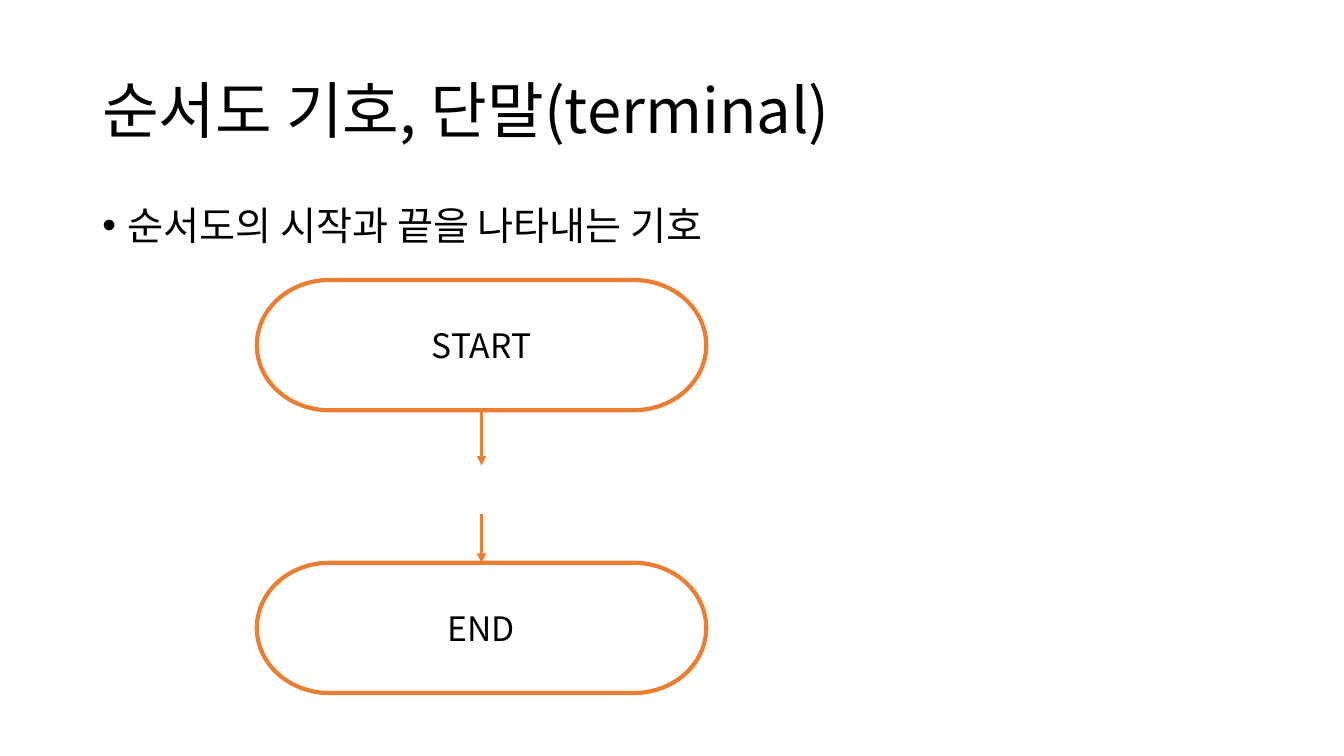
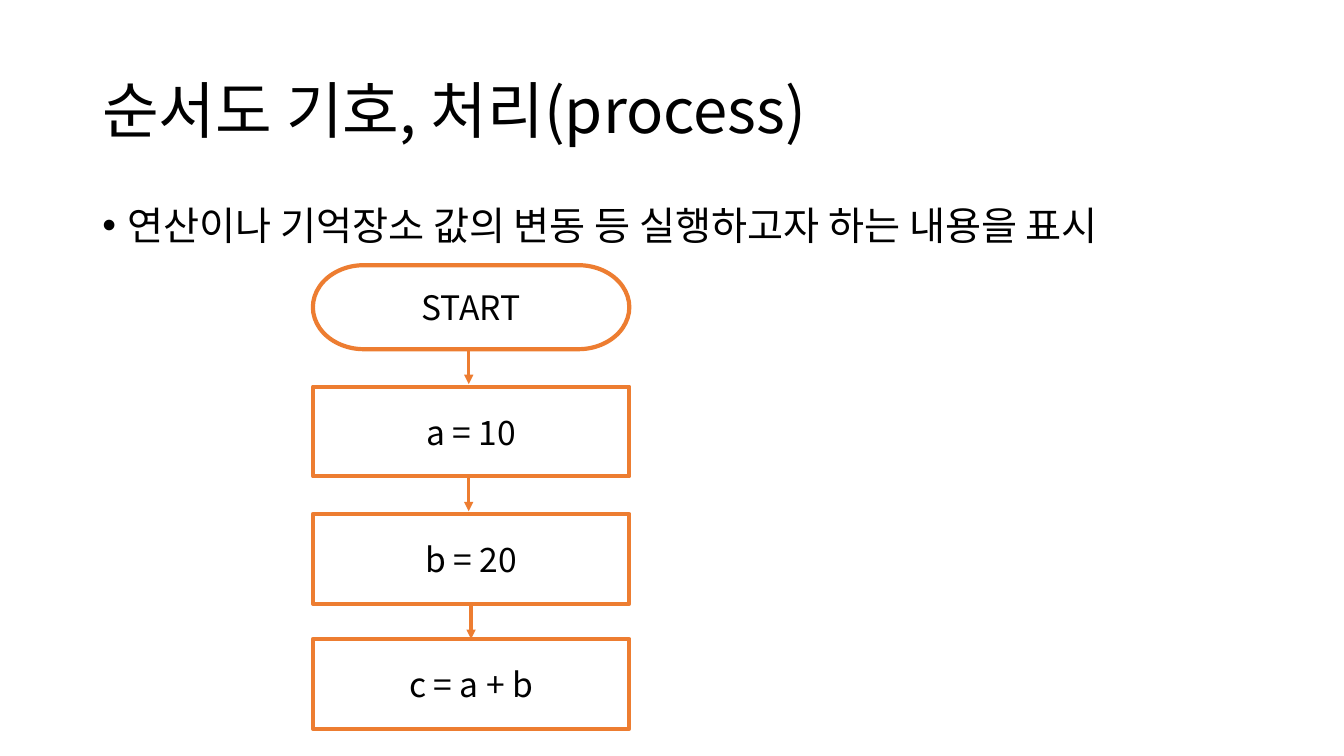
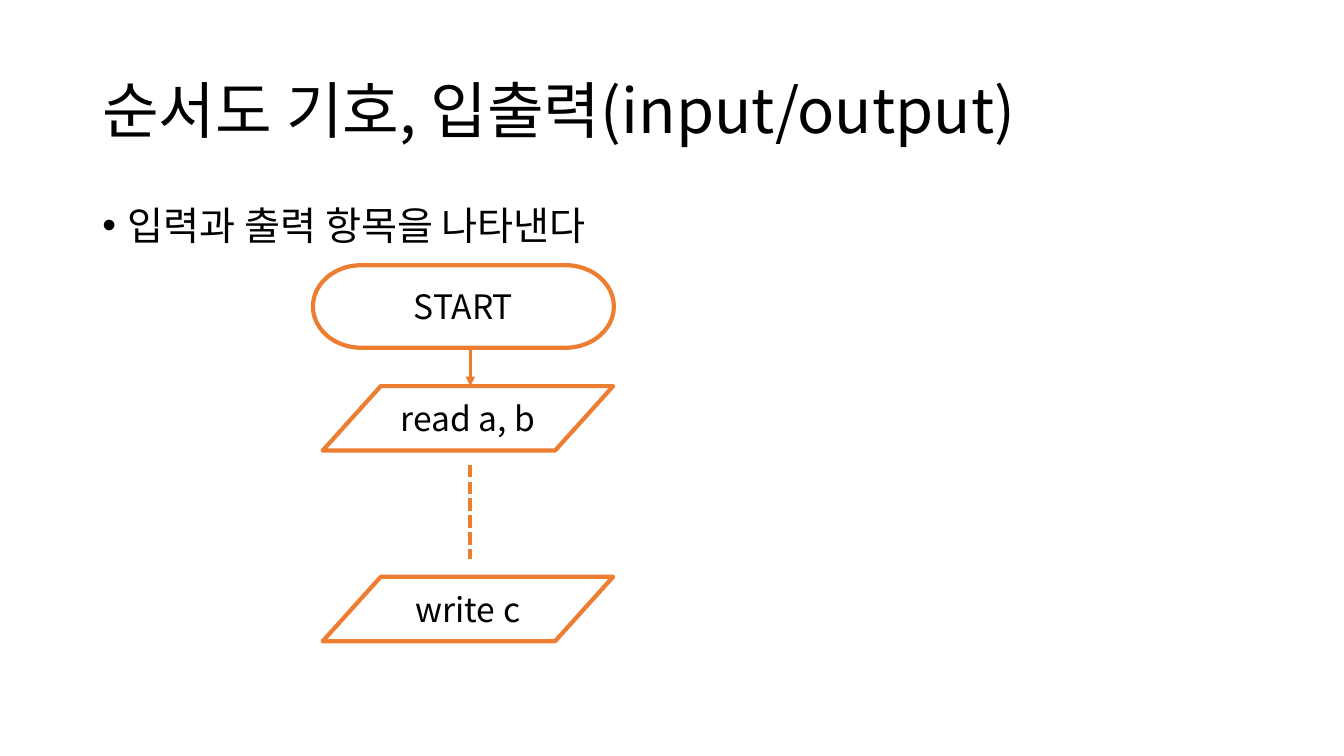
from lxml import etree
from pptx import Presentation
from pptx.dml.color import RGBColor
from pptx.enum.dml import MSO_LINE
from pptx.enum.shapes import MSO_CONNECTOR, MSO_SHAPE
from pptx.enum.text import MSO_ANCHOR, PP_ALIGN
from pptx.oxml.ns import qn
from pptx.util import Pt

TERMINAL = MSO_SHAPE.FLOWCHART_TERMINATOR
PROCESS = MSO_SHAPE.RECTANGLE
INPUT_OUTPUT = MSO_SHAPE.FLOWCHART_DATA
STRAIGHT = MSO_CONNECTOR.STRAIGHT
SHORT_DASH = MSO_LINE.SQUARE_DOT
TOP, MIDDLE = MSO_ANCHOR.TOP, MSO_ANCHOR.MIDDLE
LEFT, CENTER = PP_ALIGN.LEFT, PP_ALIGN.CENTER

FONT = "Noto Sans CJK KR"
BLACK = "000000"
WHITE = "FFFFFF"
ORANGE = "ED7D31"
TOP_SIDE, BOTTOM_SIDE = 0, 2
MARGIN, CONTENT_WIDTH = 66, 828


def color(value):
    return RGBColor.from_string(value)


def write(box, text, size, align, anchor):
    frame = box.text_frame
    frame.word_wrap = True
    frame.vertical_anchor = anchor
    frame.text = text
    para = frame.paragraphs[0]
    para.alignment = align
    for span in para.runs:
        span.font.name = FONT
        span.font.size = Pt(size)
        span.font.color.rgb = color(BLACK)
        east_asian = etree.SubElement(span.font._element, qn("a:ea"))
        east_asian.set("typeface", FONT)
    return para


def add_text(page, text, top, height, size, anchor):
    box = page.shapes.add_textbox(Pt(MARGIN), Pt(top), Pt(CONTENT_WIDTH), Pt(height))
    para = write(box, text, size, LEFT, anchor)
    para.line_spacing = 0.9
    return para


def add_bullet(para):
    properties = para._p.get_or_add_pPr()
    properties.set("marL", str(Pt(18)))
    properties.set("indent", str(Pt(-18)))
    etree.SubElement(properties, qn("a:buFont")).set("typeface", "Arial")
    etree.SubElement(properties, qn("a:buChar")).set("char", "•")


def add_page(deck, title, description):
    page = deck.slides.add_slide(deck.slide_layouts[6])
    add_text(page, title, 29, 104, 44, MIDDLE)
    add_bullet(add_text(page, description, 144, 343, 28, TOP))
    return page


def add_symbol(page, kind, text, left, top, width, height):
    symbol = page.shapes.add_shape(kind, Pt(left), Pt(top), Pt(width), Pt(height))
    symbol.shadow.inherit = False
    symbol.fill.solid()
    symbol.fill.fore_color.rgb = color(WHITE)
    symbol.line.color.rgb = color(ORANGE)
    symbol.line.width = Pt(3)
    write(symbol, text, 24, CENTER, MIDDLE)
    return symbol


def add_line(page, x, start, end, width):
    line = page.shapes.add_connector(STRAIGHT, Pt(x), Pt(start), Pt(x), Pt(end))
    line.line.color.rgb = color(ORANGE)
    line.line.width = Pt(width)
    etree.SubElement(line.element.spPr, qn("a:effectLst"))
    return line


def add_arrow(page, x, start, end, source=None, target=None):
    arrow = add_line(page, x, start, end, 2.25)
    outline = arrow.element.spPr.find(qn("a:ln"))
    etree.SubElement(outline, qn("a:tailEnd")).set("type", "triangle")
    if source is not None:
        arrow.begin_connect(source, BOTTOM_SIDE)
    if target is not None:
        arrow.end_connect(target, TOP_SIDE)


def add_terminal_page(deck):
    page = add_page(deck, "순서도 기호, 단말(terminal)", "순서도의 시작과 끝을 나타내는 기호")
    left, width, height = 183.5, 321, 93
    start_top, end_top = 200, 402
    center = left + width / 2
    start = add_symbol(page, TERMINAL, "START", left, start_top, width, height)
    end = add_symbol(page, TERMINAL, "END", left, end_top, width, height)
    add_arrow(page, center, start_top + height, 332.5, source=start)
    add_arrow(page, center, 367, end_top, target=end)


def add_process_page(deck):
    page = add_page(deck, "순서도 기호, 처리(process)",
                    "연산이나 기억장소 값의 변동 등 실행하고자 하는 내용을 표시")
    left, width, height = 223.5, 226, 64
    arrow_x = 334.8
    add_symbol(page, TERMINAL, "START", left, 189.4, width, 60)
    steps = [
        add_symbol(page, PROCESS, text, left, top, width, height)
        for text, top in (("a = 10", 276.3), ("b = 20", 367.2), ("c = a + b", 456.5))
    ]
    for start in (249.2, 340):
        add_arrow(page, arrow_x, start, start + 25.2)
    add_arrow(page, left + width / 2, 431.2, 456.5, steps[1], steps[2])


def add_input_output_page(deck):
    page = add_page(deck, "순서도 기호, 입출력(input/output)", "입력과 출력 항목을 나타낸다")
    flow_x = 336
    read_top, write_top = 275.8, 412
    add_symbol(page, TERMINAL, "START", 223.5, 189.4, 215, 59)
    add_arrow(page, flow_x, 248.4, read_top)
    for text, top in (("read a, b", read_top), ("write c", write_top)):
        add_symbol(page, INPUT_OUTPUT, text, 230.5, top, 207.5, 46)
    add_line(page, flow_x, 332, 399, 3).line.dash_style = SHORT_DASH


def main():
    deck = Presentation()
    deck.slide_width, deck.slide_height = Pt(960), Pt(540)
    add_terminal_page(deck)
    add_process_page(deck)
    add_input_output_page(deck)
    deck.save("out.pptx")


if __name__ == "__main__":
    main()
